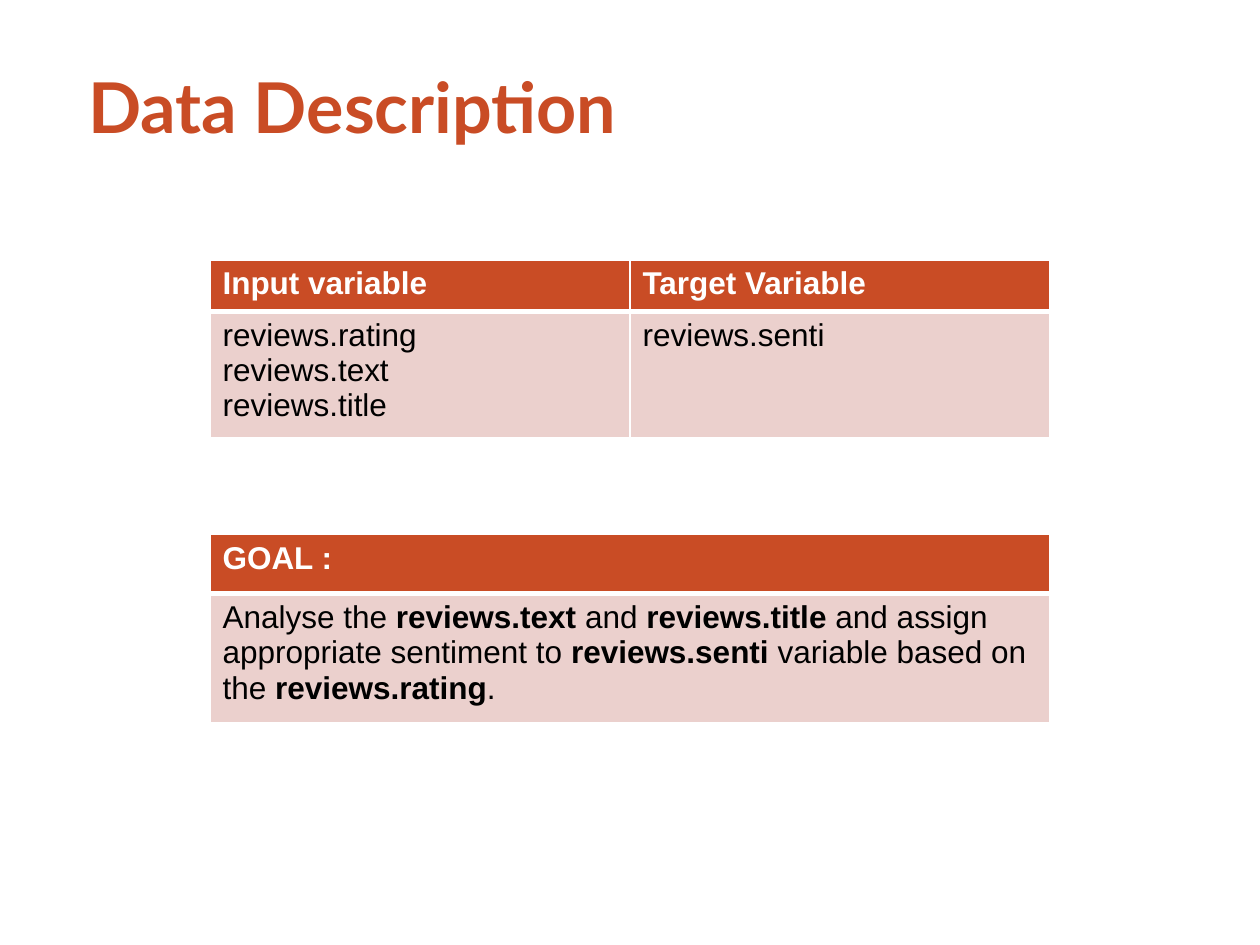
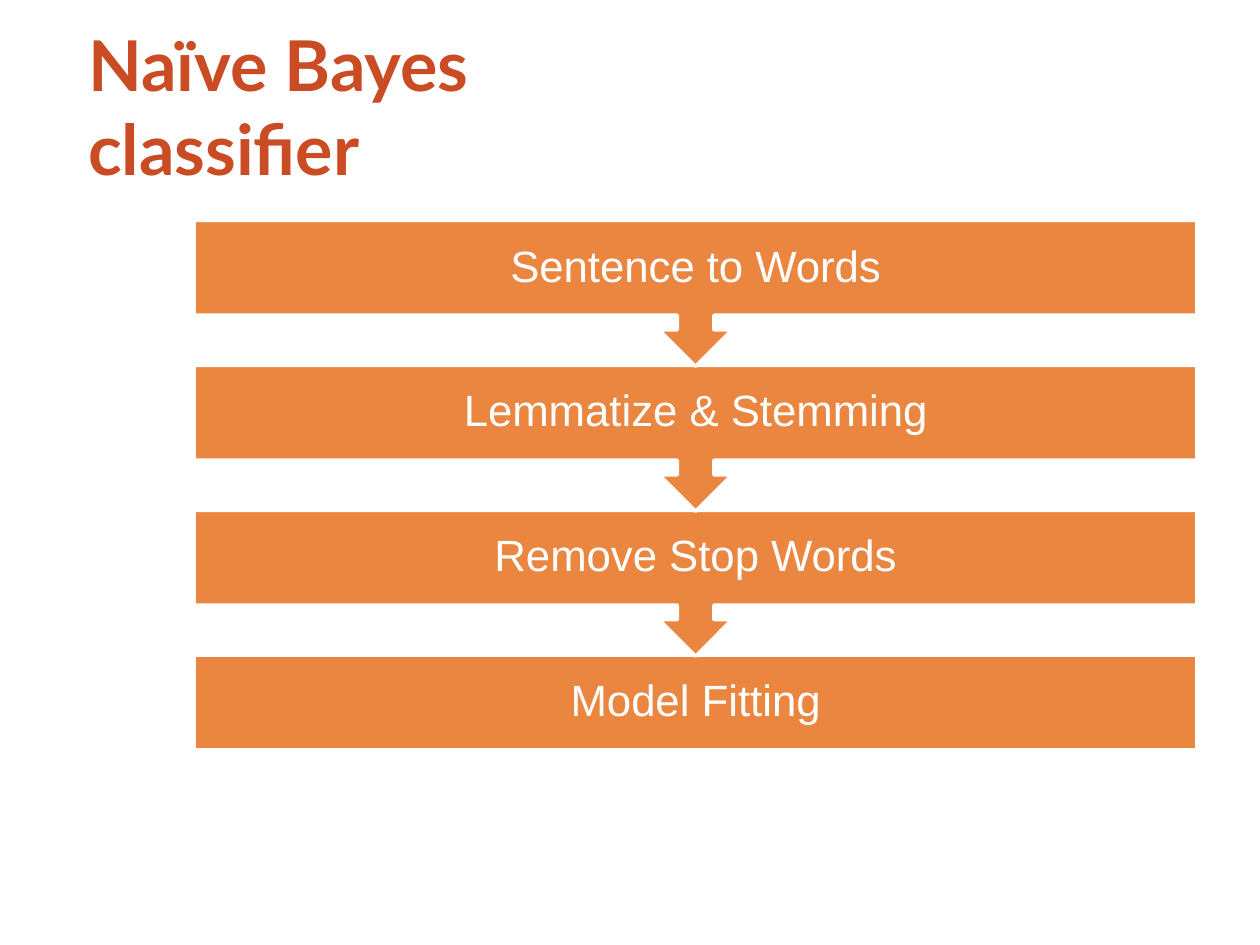
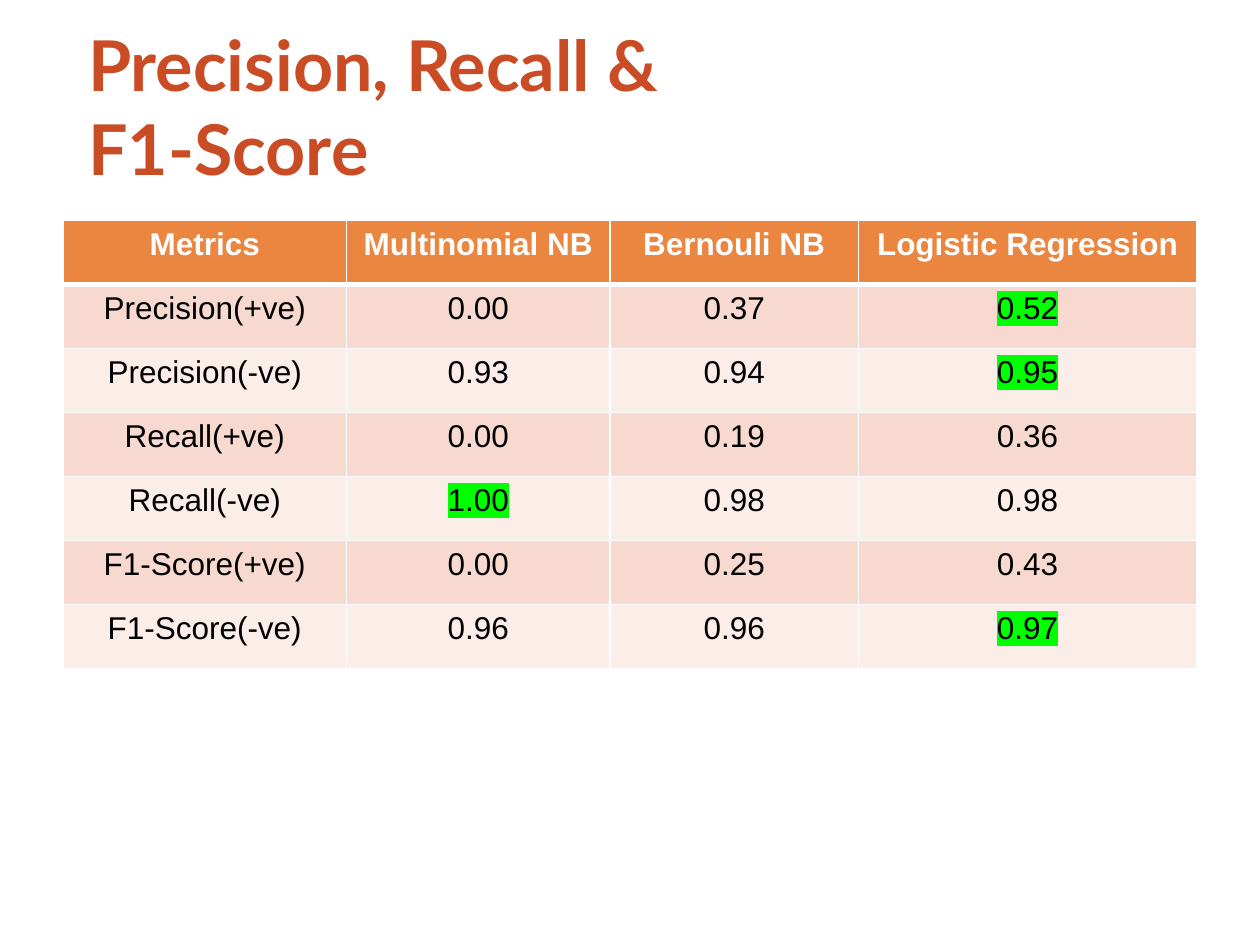
import pptx
import pptx.dml.color
import pptx.enum.shapes
import pptx.enum.text
import pptx.oxml
import pptx.oxml.ns
import pptx.util

COLOURS = {
    "rust": "C94C25",
    "orange": "EA8640",
    "rose": "EBD0CD",
    "peach": "F7D9CF",
    "cream": "FBEDE8",
    "green": "00FF00",
    "white": "FFFFFF",
    "black": "000000",
}

SLIDE_WIDTH = pptx.util.Inches(10)
SLIDE_HEIGHT = pptx.util.Inches(7.5)
COLUMNS, ROWS = 24, 18

ALIGN = pptx.enum.text.PP_ALIGN
MIDDLE = pptx.enum.text.MSO_ANCHOR.MIDDLE
PRESETS = pptx.enum.shapes.MSO_SHAPE

STEPS = ["Sentence to Words", "Lemmatize & Stemming", "Remove Stop Words", "Model Fitting"]

# Asterisks enclose emphasised words
VARIABLES = [
    ["Input variable", "Target Variable"],
    ["reviews.rating\nreviews.text\nreviews.title", "reviews.senti"],
]
GOAL = [
    ["GOAL :"],
    ["Analyse the *reviews.text *and *reviews.title *and assign appropriate "
     "sentiment to *reviews.senti *variable based on the *reviews.rating*."],
]
SCORES = [
    ["Metrics", "Multinomial NB", "Bernouli NB", "Logistic Regression"],
    ["Precision(+ve)", "0.00", "0.37", "*0.52*"],
    ["Precision(-ve)", "0.93", "0.94", "*0.95*"],
    ["Recall(+ve)", "0.00", "0.19", "0.36"],
    ["Recall(-ve)", "*1.00*", "0.98", "0.98"],
    ["F1-Score(+ve)", "0.00", "0.25", "0.43"],
    ["F1-Score(-ve)", "0.96", "0.96", "*0.97*"],
]


def across(columns):
    return round(SLIDE_WIDTH * columns / COLUMNS)


def down(rows):
    return round(SLIDE_HEIGHT * rows / ROWS)


def rgb(name):
    return pptx.dml.color.RGBColor.from_string(COLOURS[name])


def coloured_element(tag, colour, attributes="", wrap_fill=False):
    """Make an XML element that holds a colour, within a solid fill if asked."""
    content = f'<a:srgbClr val="{COLOURS[colour]}"/>'
    if wrap_fill:
        content = f"<a:solidFill>{content}</a:solidFill>"
    namespace = pptx.oxml.ns.nsdecls("a")
    return pptx.oxml.parse_xml(f"<a:{tag} {namespace} {attributes}>{content}</a:{tag}>")


# Text
def write(frame, text, *, size=18, font="Arial", colour="black", bold=False,
          align=ALIGN.LEFT, spacing=None, indent=0, highlight=None):
    """Emphasised words get the highlight colour, or bold when none is given."""
    frame.word_wrap = True
    for number, line in enumerate(text.split("\n")):
        para = frame.add_paragraph() if number else frame.paragraphs[0]
        para.alignment = align
        if spacing:
            para.line_spacing = spacing
        if indent:
            para._p.get_or_add_pPr().set("marL", str(indent))
        for part, words in enumerate(line.split("*")):
            if not words:
                continue
            emphasised = part % 2 == 1
            span = para.add_run()
            span.text = words
            span.font.size = pptx.util.Pt(size)
            span.font.name = font
            span.font.bold = bold or (emphasised and not highlight)
            span.font.color.rgb = rgb(colour)
            if emphasised and highlight:
                fill = span._r.rPr.find(pptx.oxml.ns.qn("a:solidFill"))
                fill.addnext(coloured_element("highlight", highlight))


def add_page(deck, title):
    page = deck.slides.add_slide(deck.slide_layouts[6])
    box = page.shapes.add_textbox(across(1.2), down(0.96), across(12.8), down(2.09))
    frame = box.text_frame
    frame.vertical_anchor = MIDDLE
    frame.margin_left = frame.margin_right = 0
    write(frame, title, size=40, font="Lato", colour="rust", bold=True,
          indent=pptx.util.Inches(0.2))
    return page


# Tables
def set_borders(cell, *, top=1, bottom=1):
    properties = cell._tc.get_or_add_tcPr()
    for side, points in (("L", 1), ("R", 1), ("T", top), ("B", bottom)):
        width = f'w="{pptx.util.Pt(points)}"'
        properties.append(coloured_element("ln" + side, "white", width, wrap_fill=True))


def add_grid(page, content, *, left, top, widths, heights, header, bands,
             align=ALIGN.LEFT, highlight=None):
    table = page.shapes.add_table(
        len(content), len(widths), across(left), down(top),
        across(sum(widths)), down(sum(heights))).table
    for column, width in zip(table.columns, widths):
        column.width = across(width)
    for number, (row, height, texts) in enumerate(zip(table.rows, heights, content)):
        row.height = down(height)
        heading = number == 0
        for cell, text in zip(row.cells, texts):
            set_borders(cell, top=3 if number == 1 else 1, bottom=3 if heading else 1)
            cell.fill.solid()
            cell.fill.fore_color.rgb = rgb(header if heading else bands[(number - 1) % len(bands)])
            write(cell.text_frame, text, colour="white" if heading else "black",
                  bold=heading, align=align, highlight=highlight)


# Flow of steps
def add_step(page, text, *, preset, top, height):
    step = page.shapes.add_shape(preset, across(3.7), down(top), across(19.1), down(height))
    step.shadow.inherit = False
    step.fill.solid()
    step.fill.fore_color.rgb = rgb("orange")
    step.line.color.rgb = rgb("white")
    step.line.width = pptx.util.Pt(2)
    frame = step.text_frame
    frame.vertical_anchor = MIDDLE
    frame.margin_left = frame.margin_right = pptx.util.Inches(0.19)
    frame.margin_top = frame.margin_bottom = pptx.util.Inches(0.19)
    write(frame, text, size=25, colour="white", align=ALIGN.CENTER, spacing=0.9)


def add_flow(page, steps, *, top, pitch):
    # The last step comes first so that each arrow tip lies over the next step
    last = len(steps) - 1
    for number in range(last, -1, -1):
        preset, height = ((PRESETS.RECTANGLE, 1.8) if number == last
                          else (PRESETS.DOWN_ARROW_CALLOUT, 2.78))
        add_step(page, steps[number], preset=preset, top=top + number * pitch, height=height)


def main():
    deck = pptx.Presentation()
    deck.slide_width, deck.slide_height = SLIDE_WIDTH, SLIDE_HEIGHT

    page = add_page(deck, "Data Description")
    add_grid(page, VARIABLES, left=4, top=4.95, widths=[8, 8], heights=[0.98, 2.26],
             header="rust", bands=["rose"])
    add_grid(page, GOAL, left=4, top=10.18, widths=[16], heights=[1.13, 2.45],
             header="rust", bands=["rose"])

    page = add_page(deck, "Naïve Bayes classifier")
    add_flow(page, STEPS, top=4.2, pitch=2.76)

    page = add_page(deck, "Precision, Recall & F1-Score")
    add_grid(page, SCORES, left=1.2, top=4.2, widths=[5.4, 5.02, 4.73, 6.45],
             heights=[1.22] * len(SCORES), header="orange", bands=["peach", "cream"],
             align=ALIGN.CENTER, highlight="green")

    deck.save("out.pptx")


if __name__ == "__main__":
    main()
